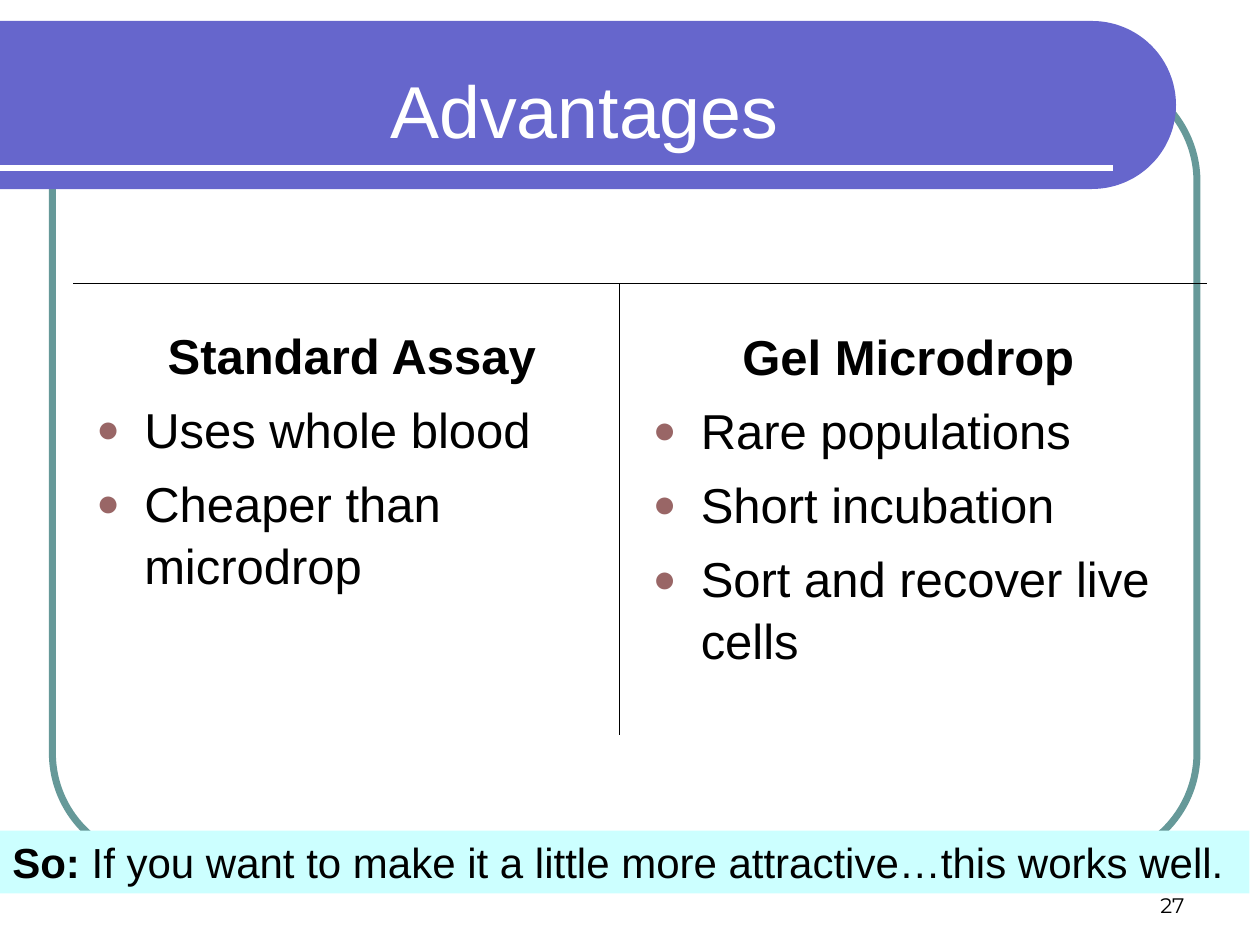
"""Build the Advantages slide on a grid of 120 columns by 90 rows."""
import math
from dataclasses import dataclass

import pptx
import pptx.dml.color
import pptx.enum.shapes
import pptx.enum.text
import pptx.util
from lxml import etree

WIDE, HIGH = pptx.util.Inches(10), pptx.util.Inches(7.5)
COLS, ROWS = 120, 90
HUES = {
    "band": "6666CC", "frame": "669999", "dot": "996666",
    "note": "CCFFFF", "ink": "000000", "paper": "FFFFFF",
}
SANS = "Arial"
ALIGN = pptx.enum.text.PP_ALIGN
ANCHOR = pptx.enum.text.MSO_ANCHOR
SHAPE = pptx.enum.shapes.MSO_SHAPE
INDENT = pptx.util.Inches(0.38)


@dataclass
class Box:
    left: float
    top: float
    width: float
    height: float

    def place(self) -> tuple:
        return (across(self.left), down(self.top),
                across(self.width), down(self.height))


@dataclass
class Rule:
    start: tuple
    end: tuple
    hue: str
    weight: float


@dataclass
class List:
    box: Box
    head: str
    items: list


def across(col: float) -> int:
    return round(WIDE * col / COLS)


def down(row: float) -> int:
    return round(HIGH * row / ROWS)


def tint(hue: str) -> pptx.dml.color.RGBColor:
    return pptx.dml.color.RGBColor.from_string(HUES[hue])


def style(font, size: float, hue: str = "ink", bold: bool = False, face: str = SANS) -> None:
    font.size, font.bold, font.name = pptx.util.Pt(size), bold, face
    font.color.rgb = tint(hue)


def paint(shape, hue: str) -> None:
    shape.shadow.inherit = False
    shape.fill.solid()
    shape.fill.fore_color.rgb = tint(hue)
    shape.line.fill.background()


def draw_frame(shapes, box: Box) -> None:
    frame = shapes.add_shape(SHAPE.ROUNDED_RECTANGLE, *box.place())
    frame.adjustments[0] = 0.137
    frame.shadow.inherit = False
    frame.fill.background()
    frame.line.color.rgb = tint("frame")
    frame.line.width = pptx.util.Pt(4)


def draw_band(shapes, box: Box) -> None:
    curve = box.height / 2
    hub = box.left + box.width - curve, box.top + curve
    turns = [math.radians(step) for step in range(-90, 91, 2)]
    arc = [(across(hub[0] + curve * math.cos(turn)), down(hub[1] + curve * math.sin(turn)))
           for turn in turns]
    left, top = across(box.left), down(box.top)
    path = shapes.build_freeform(left, top)
    path.add_line_segments(arc + [(left, down(box.top + box.height))], close=True)
    paint(path.convert_to_shape(), "band")


def draw_rule(shapes, rule: Rule) -> None:
    line = shapes.add_connector(
        pptx.enum.shapes.MSO_CONNECTOR.STRAIGHT,
        across(rule.start[0]), down(rule.start[1]), across(rule.end[0]), down(rule.end[1]))
    line.line.color.rgb = tint(rule.hue)
    line.line.width = pptx.util.Pt(rule.weight)
    etree.SubElement(line.element.spPr, pptx.oxml.ns.qn("a:effectLst"))


def add_text(shapes, box: Box, text: str, anchor=ANCHOR.TOP):
    frame = shapes.add_textbox(*box.place()).text_frame
    frame.word_wrap = True
    frame.vertical_anchor = anchor
    frame.text = text
    return frame


def add_dot(para) -> None:
    props = para._p.get_or_add_pPr()
    color = etree.SubElement(props, pptx.oxml.ns.qn("a:buClr"))
    etree.SubElement(color, pptx.oxml.ns.qn("a:srgbClr"), val=HUES["dot"])
    etree.SubElement(props, pptx.oxml.ns.qn("a:buSzPct"), val="80000")
    etree.SubElement(props, pptx.oxml.ns.qn("a:buFont"), typeface=SANS)
    etree.SubElement(props, pptx.oxml.ns.qn("a:buChar"), char="●")
    props.set("marL", str(INDENT))
    props.set("indent", str(-INDENT))


def draw_list(shapes, part: List) -> None:
    frame = add_text(shapes, part.box, "\n".join([part.head] + part.items))
    frame.margin_top = pptx.util.Inches(0.08)
    for rank, para in enumerate(frame.paragraphs):
        para.line_spacing = 1.05
        if rank:
            add_dot(para)
            para.space_before = pptx.util.Pt(7)
        else:
            para.alignment = ALIGN.CENTER
        style(para.runs[0].font, 28, bold=not rank)


def draw_note(shapes, box: Box, lead: str, rest: str) -> None:
    note = shapes.add_shape(SHAPE.RECTANGLE, *box.place())
    paint(note, "note")
    frame = note.text_frame
    frame.word_wrap = True
    frame.vertical_anchor = ANCHOR.MIDDLE
    para = frame.paragraphs[0]
    para.alignment = ALIGN.LEFT
    for text, bold in ((lead, True), (rest, False)):
        run = para.add_run()
        run.text = text
        style(run.font, 24, bold=bold)


def main() -> None:
    deck = pptx.Presentation()
    deck.slide_width, deck.slide_height = WIDE, HIGH
    shapes = deck.slides.add_slide(deck.slide_layouts[6]).shapes

    draw_frame(shapes, Box(5, 7, 109, 75))
    draw_band(shapes, Box(0, 2, 112, 16))
    draw_rule(shapes, Rule((0, 16), (106, 16), "paper", 3))

    title = add_text(shapes, Box(36, 5, 53, 10), "Advantages", ANCHOR.MIDDLE)
    title.margin_top = pptx.util.Inches(0.12)
    style(title.paragraphs[0].runs[0].font, 42, "paper")

    for part in (
        List(Box(8, 29.8, 51, 49), "Standard Assay",
             ["Uses whole blood", "Cheaper than microdrop"]),
        List(Box(61, 29.9, 51, 47), "Gel Microdrop",
             ["Rare populations", "Short incubation", "Sort and recover live cells"]),
    ):
        draw_list(shapes, part)
    for rule in (Rule((59, 70), (59, 27), "ink", 0.75),
                 Rule((7, 27), (115, 27), "ink", 0.75)):
        draw_rule(shapes, rule)

    draw_note(shapes, Box(0, 79.1, 119, 6), "So:",
              " If you want to make it a little more attractive…this works well.")
    count = add_text(shapes, Box(86, 82, 28, 6), "27", ANCHOR.BOTTOM)
    count.paragraphs[0].alignment = ALIGN.RIGHT
    style(count.paragraphs[0].runs[0].font, 12, face="Montserrat")
    deck.save("out.pptx")


if __name__ == "__main__":
    main()
